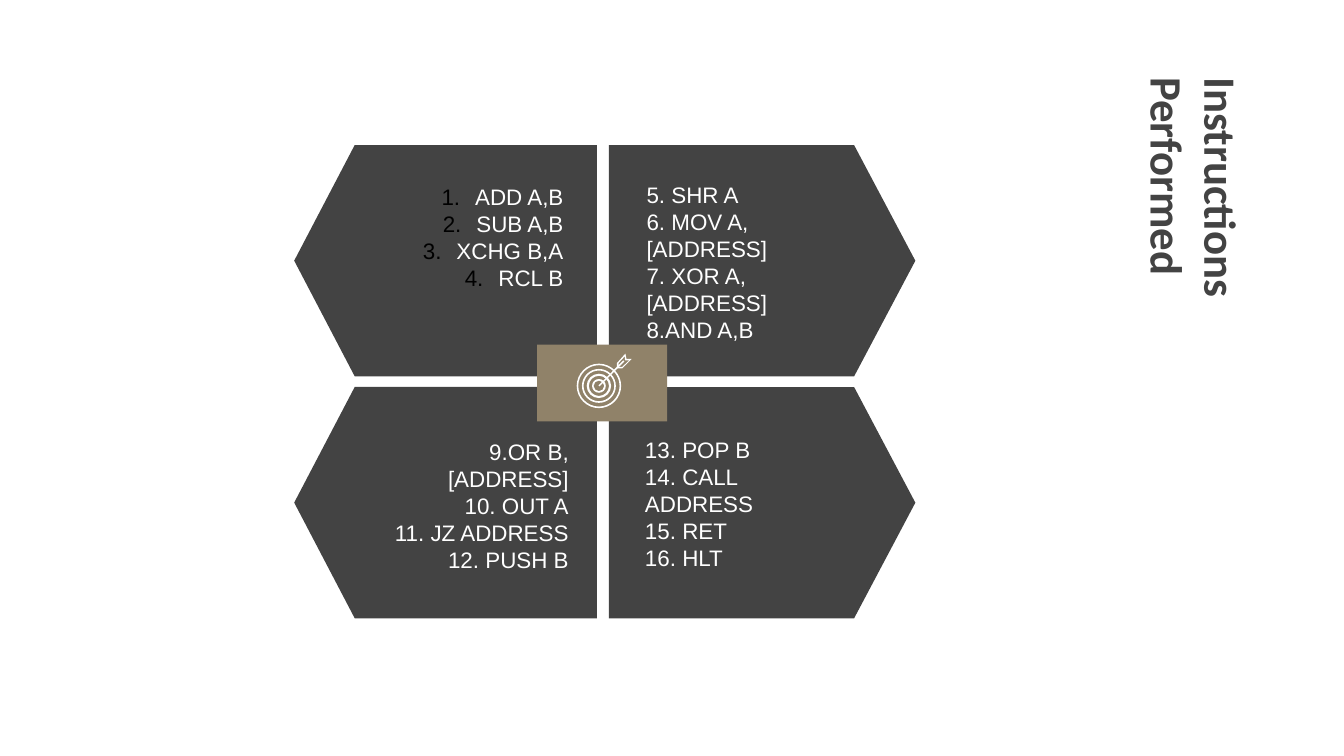
from lxml.etree import SubElement
from pptx import Presentation
from pptx.dml.color import RGBColor
from pptx.enum.shapes import MSO_SHAPE
from pptx.enum.text import MSO_ANCHOR, MSO_AUTO_SIZE, PP_ALIGN
from pptx.oxml.ns import qn
from pptx.util import Cm, Pt

DARK, TAN, WHITE, BLACK = "434343", "908269", "FFFFFF", "000000"

LEFT_X, RIGHT_X = 5.56, 11.51
LEFT_WIDTH, RIGHT_WIDTH = 5.72, 5.79
TOP_Y, HEIGHT, ROW_PITCH = 2.74, 4.37, 4.57
BOTTOM_Y = TOP_Y + ROW_PITCH
TEXT_WIDTH = 4.01

PANELS = [
    ((LEFT_X, BOTTOM_Y, LEFT_WIDTH, HEIGHT), 90),
    ((RIGHT_X, TOP_Y, RIGHT_WIDTH, HEIGHT), 270),
    ((RIGHT_X, BOTTOM_Y, RIGHT_WIDTH, HEIGHT), 270),
    ((LEFT_X, TOP_Y, LEFT_WIDTH, HEIGHT), 90),
]
LISTS = [
    ((6.89, 3.34, TEXT_WIDTH, 2.31), PP_ALIGN.RIGHT, True,
     ["ADD A,B", "SUB A,B", "XCHG B,A", "RCL B"]),
    ((11.97, 3.3, TEXT_WIDTH, 3.33), PP_ALIGN.LEFT, False,
     ["5. SHR A", "6. MOV A, [ADDRESS]", "7. XOR A,[ADDRESS]", "8.AND A,B"]),
    ((6.99, 8.15, TEXT_WIDTH, 2.82), PP_ALIGN.RIGHT, False,
     ["9.OR B,[ADDRESS]", "10. OUT A", "11. JZ ADDRESS", "12. PUSH B"]),
    ((11.94, 8.12, TEXT_WIDTH, 2.82), PP_ALIGN.LEFT, False,
     ["13. POP B", "14. CALL ADDRESS", "15. RET", "16. HLT"]),
]

RING_CENTRE = (0.42, 0.61)
RING_RADII = [0.42, 0.39, 0.32, 0.29, 0.23, 0.19, 0.13, 0.1]
CURVE_RATIO = 0.55
FLETCHING = [
    [(0.76, 0.28), (0.76, 0.18), (0.92, 0), (0.94, 0.1), (1.04, 0.1), (0.86, 0.28)],
    [(0.91, 0.05), (0.91, 0.13), (0.99, 0.13), (0.86, 0.25), (0.79, 0.25), (0.79, 0.18)],
]
SHAFT = [(0.41, 0.6), (0.88, 0.13), (0.9, 0.15), (0.43, 0.62)]


def colour(value):
    return RGBColor.from_string(value)


def paint(shape, value):
    shape.shadow.inherit = False
    shape.fill.solid()
    shape.fill.fore_color.rgb = colour(value)
    shape.line.fill.background()


def turned_box(box):
    left, top, width, height = box
    return (Cm(left + (width - height) / 2), Cm(top + (height - width) / 2),
            Cm(height), Cm(width))


def add_title(page, box, text):
    title = page.shapes.title
    title.left, title.top, title.width, title.height = turned_box(box)
    title.rotation = 90
    frame = title.text_frame
    frame.text = text
    frame.word_wrap = True
    frame.auto_size = MSO_AUTO_SIZE.NONE
    frame.vertical_anchor = MSO_ANCHOR.TOP
    frame.margin_left = frame.margin_right = Cm(0.25)
    frame.margin_top = frame.margin_bottom = Cm(0.25)
    para = frame.paragraphs[0]
    para.alignment = PP_ALIGN.LEFT
    font = para.runs[0].font
    font.name, font.size, font.bold = "Calibri", Pt(24), True
    font.color.rgb = colour(DARK)


def add_panel(page, box, rotation):
    panel = page.shapes.add_shape(MSO_SHAPE.FLOWCHART_OFFPAGE_CONNECTOR, *turned_box(box))
    panel.rotation = rotation
    paint(panel, DARK)


def number_paragraph(para):
    properties = para._p.get_or_add_pPr()
    properties.set("marL", str(Cm(0.635)))
    properties.set("indent", str(-Cm(0.635)))
    bullet_colour = SubElement(properties, qn("a:buClr"))
    SubElement(bullet_colour, qn("a:srgbClr"), val=BLACK)
    SubElement(properties, qn("a:buFont"), typeface="Arial")
    SubElement(properties, qn("a:buAutoNum"), type="arabicPeriod")


def add_list(page, box, alignment, numbered, lines):
    frame = page.shapes.add_textbox(*(Cm(length) for length in box)).text_frame
    frame.word_wrap = True
    frame.auto_size = MSO_AUTO_SIZE.SHAPE_TO_FIT_TEXT
    frame.text = "\n".join(lines)
    for para in frame.paragraphs:
        para.alignment = alignment
        if numbered:
            number_paragraph(para)
        font = para.runs[0].font
        font.name, font.size = "Arial", Pt(12)
        font.color.rgb = colour(WHITE)


def ring_points(radius):
    x, y = RING_CENTRE
    k = CURVE_RATIO
    unit = [(1, 0), (1, k), (k, 1), (0, 1), (-k, 1), (-1, k), (-1, 0),
            (-1, -k), (-k, -1), (0, -1), (k, -1), (1, -k), (1, 0)]
    return [(x + radius * across, y + radius * down) for across, down in unit]


def round_rings(outline):
    lines = outline.findall(qn("a:lnTo"))[:12 * len(RING_RADII)]
    for first in range(0, len(lines), 3):
        curve, *others = lines[first:first + 3]
        curve.tag = qn("a:cubicBezTo")
        for line in others:
            curve.append(line[0])
            outline.remove(line)


def separate_shaft(outline):
    shaft = SubElement(outline.getparent(), qn("a:path"),
                       w=outline.get("w"), h=outline.get("h"))
    for step in list(outline)[-len(SHAFT) - 1:]:
        shaft.append(step)


def add_target_icon(page, left, top):
    contours = [ring_points(radius) for radius in RING_RADII] + FLETCHING + [SHAFT]
    builder = page.shapes.build_freeform(*(Cm(value) for value in contours[0][0]))
    for index, contour in enumerate(contours):
        points = [(Cm(x), Cm(y)) for x, y in contour]
        if index:
            builder.move_to(*points[0])
        builder.add_line_segments(points[1:], close=True)
    target = builder.convert_to_shape(Cm(left), Cm(top))
    paint(target, WHITE)
    outline = next(target._element.iter(qn("a:path")))
    lines = outline.findall(qn("a:lnTo"))
    if len(lines) > sum(len(contour) - 1 for contour in contours):
        closing_lines = [step.getprevious() for step in outline.findall(qn("a:close"))]
        for line in closing_lines:
            outline.remove(line)
    round_rings(outline)
    separate_shaft(outline)


def add_badge(page, box):
    left, top, width, height = box
    badge = page.shapes.add_shape(MSO_SHAPE.RECTANGLE, Cm(left), Cm(top), Cm(width), Cm(height))
    paint(badge, TAN)
    add_target_icon(page, left + 0.75, top + 0.17)


def main():
    deck = Presentation()
    deck.slide_width, deck.slide_height = Cm(25.4), Cm(14.28)
    page = deck.slides.add_slide(deck.slide_layouts[5])
    add_title(page, (21.4, 1.21, 2.46, 7.01), "Instructions Performed")
    for panel in PANELS:
        add_panel(page, *panel)
    add_badge(page, (10.15, 6.51, 2.46, 1.45))
    for instructions in LISTS:
        add_list(page, *instructions)
    deck.save("out.pptx")


if __name__ == "__main__":
    main()
